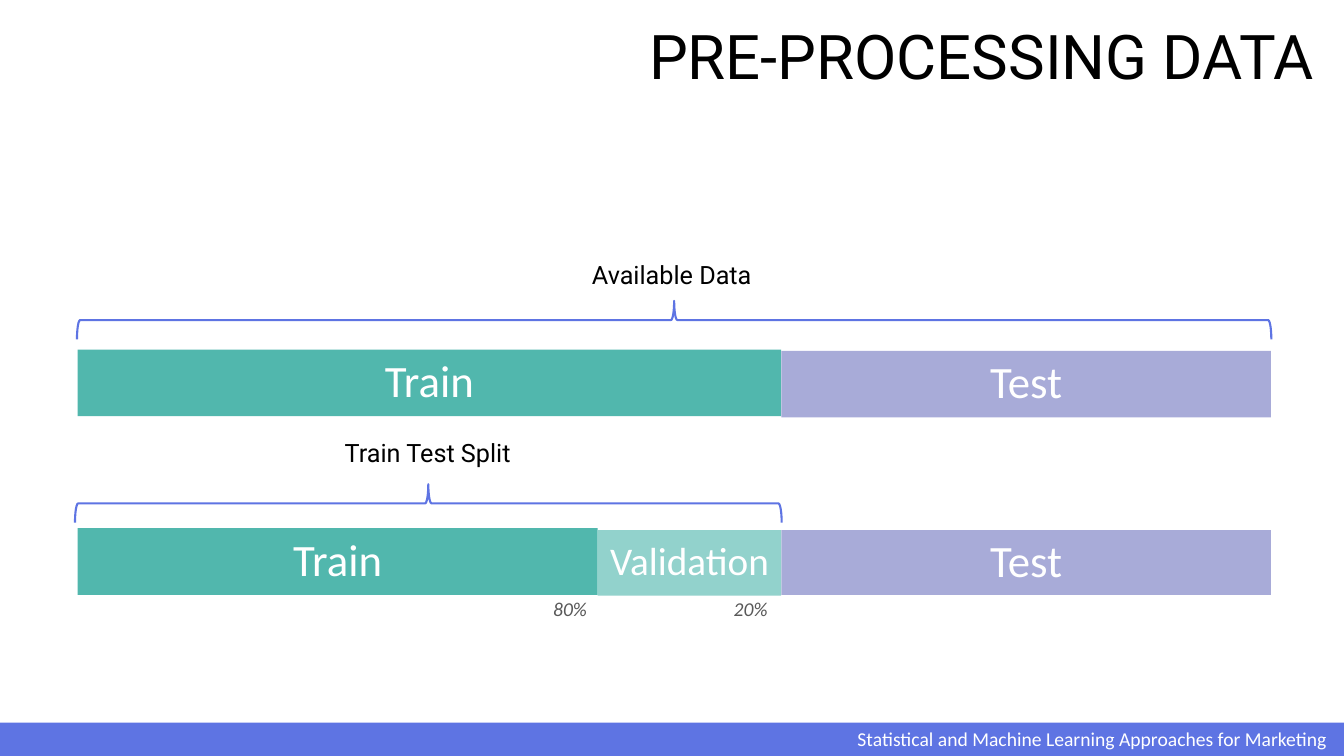
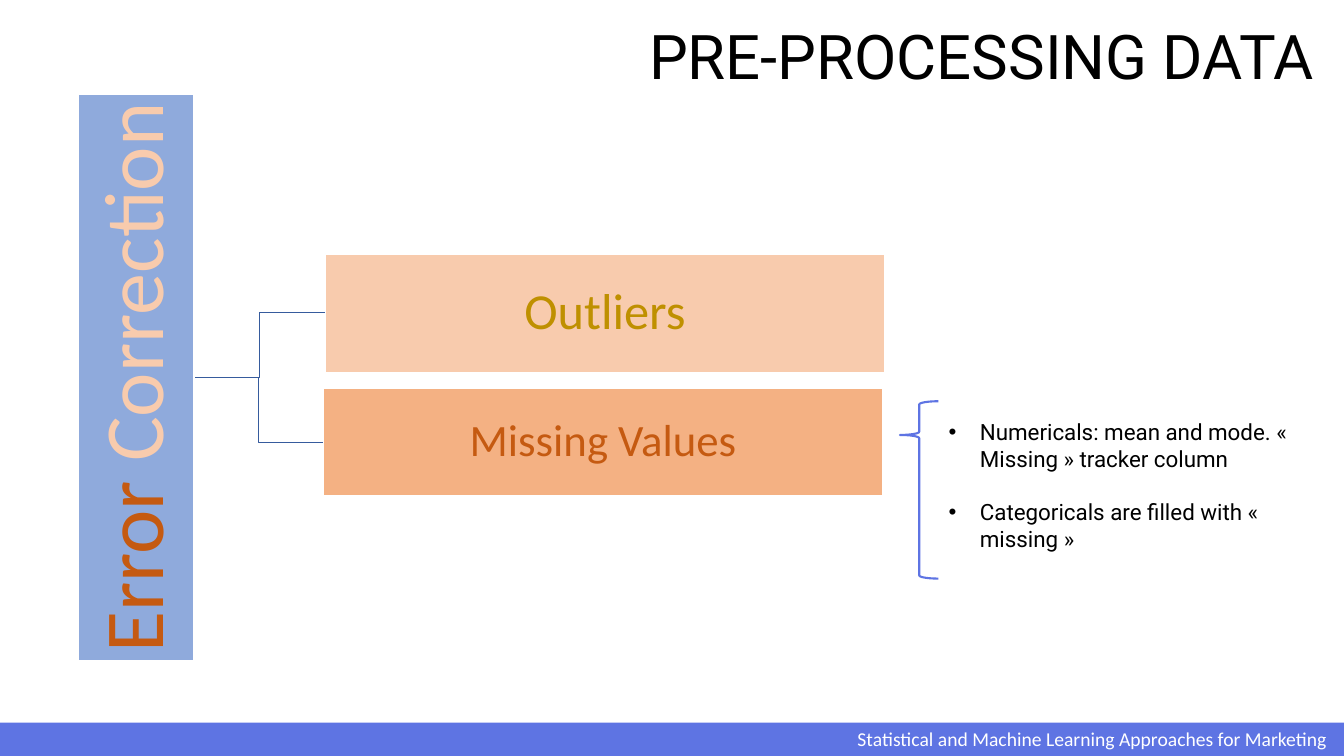
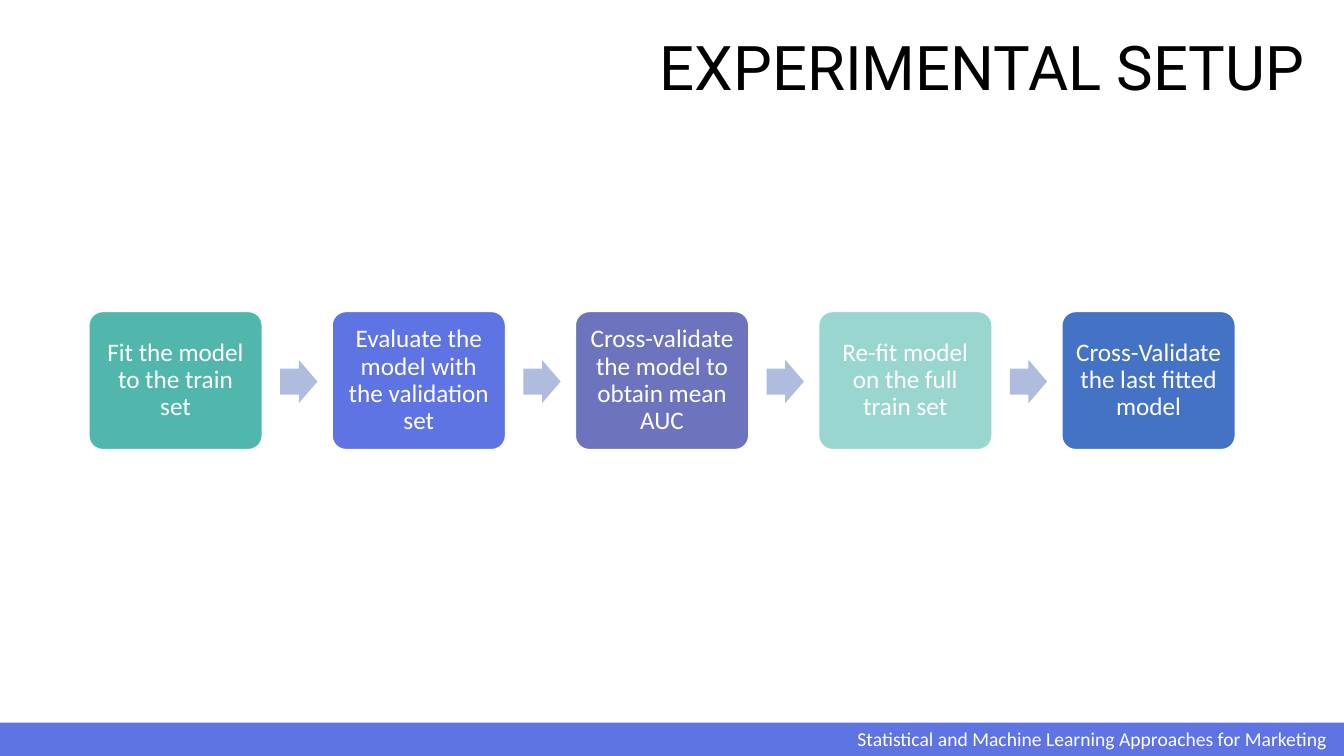
from pptx import Presentation
from pptx import util as u
from pptx.dml.color import RGBColor
from pptx.enum import shapes, text
from pptx.oxml import ns, xmlchemy

BLACK = RGBColor(0x00, 0x00, 0x00)
WHITE = RGBColor(0xFF, 0xFF, 0xFF)
GREY = RGBColor(0x59, 0x59, 0x59)
INDIGO = RGBColor(0x5E, 0x74, 0xE3)
TEAL = RGBColor(0x51, 0xB7, 0xAD)
LIGHT_TEAL = RGBColor(0x92, 0xD2, 0xCC)
PALE_TEAL = RGBColor(0x9A, 0xD6, 0xD0)
LILAC = RGBColor(0xA8, 0xAB, 0xD8)
VIOLET = RGBColor(0x6D, 0x73, 0xBD)
BLUE = RGBColor(0x44, 0x72, 0xC4)
SOFT_BLUE = RGBColor(0x8F, 0xAA, 0xDC)
ARROW_BLUE = RGBColor(0xB0, 0xBC, 0xDE)
LINE_BLUE = RGBColor(0x36, 0x5B, 0x9D)
PEACH = RGBColor(0xF8, 0xCB, 0xAD)
ORANGE = RGBColor(0xF4, 0xB1, 0x83)
RUST = RGBColor(0xC5, 0x5A, 0x11)
GOLD = RGBColor(0xBF, 0x90, 0x00)

HEADING_FONT = "Roboto"
BODY_FONT = "Calibri"
FOOTER = "Statistical and Machine Learning Approaches for Marketing"
SLIDE_WIDTH, SLIDE_HEIGHT = 33.87, 19.05
BRACE_DEPTH = 0.97

SHAPE = shapes.MSO_SHAPE
ALIGN = text.PP_ALIGN


def add_run(paragraph, words, size, color, font=BODY_FONT, italic=False):
    run = paragraph.add_run()
    run.text = words
    run.font.name = font
    run.font.size = u.Pt(size)
    run.font.color.rgb = color
    run.font.italic = italic


def place(shape, left, top, width, height):
    shape.left, shape.top = u.Cm(left), u.Cm(top)
    shape.width, shape.height = u.Cm(width), u.Cm(height)


def add_box(slide, kind, box, fill=None, line=None, line_width=1):
    shape = slide.shapes.add_shape(kind, *map(u.Cm, box))
    shape.shadow.inherit = False
    if fill is None:
        shape.fill.background()
    else:
        shape.fill.solid()
        shape.fill.fore_color.rgb = fill
    if line is None:
        shape.line.fill.background()
    else:
        shape.line.color.rgb = line
        shape.line.width = u.Pt(line_width)
    return shape


def fill_label(shape, runs, size, inset=0.05):
    frame = shape.text_frame
    frame.word_wrap = True
    frame.vertical_anchor = text.MSO_ANCHOR.MIDDLE
    frame.margin_left = frame.margin_right = u.Cm(inset)
    frame.margin_top = frame.margin_bottom = u.Cm(inset)
    paragraph = frame.paragraphs[0]
    paragraph.alignment = ALIGN.CENTER
    paragraph.line_spacing = 0.9
    for words, color in runs:
        add_run(paragraph, words, size, color)


def add_text(slide, box, words, size, color, font=BODY_FONT, italic=False,
             wrap=False, align=ALIGN.LEFT):
    frame = slide.shapes.add_textbox(*map(u.Cm, box)).text_frame
    frame.word_wrap = wrap
    paragraph = frame.paragraphs[0]
    paragraph.alignment = align
    add_run(paragraph, words, size, color, font, italic)


def turned(left, top, width, height):
    return (left + (width - height) / 2, top + (height - width) / 2, height, width)


def add_top_brace(slide, left, top, length):
    box = turned(left, top, length, BRACE_DEPTH)
    brace = add_box(slide, SHAPE.RIGHT_BRACE, box, line=INDIGO, line_width=1.5)
    brace.rotation = 270


def add_caption(slide, left, top, words):
    add_text(slide, (left, top, 6.58, 1.22), words, 18, BLACK, HEADING_FONT,
             wrap=True, align=ALIGN.CENTER)


def add_elbow(slide, start, end):
    connector = slide.shapes.add_connector(
        shapes.MSO_CONNECTOR.ELBOW, *map(u.Cm, start + end))
    connector.line.color.rgb = LINE_BLUE
    connector.line.width = u.Pt(1)
    properties = connector._element.spPr
    properties.append(xmlchemy.OxmlElement("a:effectLst"))


def add_bullets(placeholder, box, items):
    place(placeholder, *box)
    frame = placeholder.text_frame
    frame.auto_size = text.MSO_AUTO_SIZE.NONE
    for index, words in enumerate(items):
        paragraph = frame.add_paragraph() if index else frame.paragraphs[0]
        paragraph.space_before = u.Pt(19 if index else 0)
        properties = paragraph._p.get_or_add_pPr()
        properties.set("marL", str(u.Cm(0.79)))
        properties.set("indent", str(-u.Cm(0.79)))
        bullet = xmlchemy.OxmlElement("a:buChar")
        bullet.set("char", "•")
        properties.append(bullet)
        add_run(paragraph, words, 16, BLACK, HEADING_FONT)


def start_slide(presentation, layout_name, title, left=7.98, top=0.23):
    layout = presentation.slide_layouts.get_by_name(layout_name)
    slide = presentation.slides.add_slide(layout)
    heading = slide.shapes.title
    place(heading, left, top, 25.4, 2.54)
    frame = heading.text_frame
    frame.auto_size = text.MSO_AUTO_SIZE.NONE
    frame.vertical_anchor = text.MSO_ANCHOR.MIDDLE
    paragraph = frame.paragraphs[0]
    paragraph.alignment = ALIGN.RIGHT
    paragraph.line_spacing = 0.9
    add_run(paragraph, title, 44, BLACK, HEADING_FONT)
    add_box(slide, SHAPE.RECTANGLE, (0, 18.21, SLIDE_WIDTH, 0.84), INDIGO)
    add_text(slide, (21.36, 18.19, 12.47, 0.86), FOOTER, 14, WHITE)
    return slide


def build_data_split(presentation):
    slide = start_slide(presentation, "Title Only", "PRE-PROCESSING DATA")
    left, validation_left, test_left, right = 1.96, 15.06, 19.69, 32.03
    segments = [
        ("Train", left, test_left, 8.81, 1.68, TEAL, 32),
        ("Test", test_left, right, 8.84, 1.68, LILAC, 32),
        ("Train", left, validation_left, 13.31, 1.68, TEAL, 32),
        ("Test", test_left, right, 13.36, 1.63, LILAC, 32),
        ("Validation", validation_left, test_left, 13.36, 1.65, LIGHT_TEAL, 28),
    ]
    for words, start, end, top, height, fill, size in segments:
        bar = add_box(slide, SHAPE.RECTANGLE, (start, top, end - start, height), fill)
        fill_label(bar, [(words, WHITE)], size)
    for share, share_left in (("80%", 13.69), ("20%", 18.24)):
        add_text(slide, (share_left, 14.91, 1.37, 0.86), share, 14, GREY, italic=True)
    add_top_brace(slide, 1.94, 7.58, 30.1)
    add_caption(slide, 13.64, 6.4, "Available Data")
    add_top_brace(slide, 1.89, 12.2, 17.81)
    add_caption(slide, 7.49, 10.9, "Train Test Split")


def build_error_correction(presentation):
    slide = start_slide(presentation, "Title and Content", "PRE-PROCESSING DATA")
    trunk = (4.88, 9.52)
    add_elbow(slide, trunk, (8.15, 11.15))
    add_elbow(slide, trunk, (8.2, 7.87))
    root = add_box(slide, SHAPE.RECTANGLE, turned(1.97, 2.38, 2.92, 14.27),
                   SOFT_BLUE, WHITE)
    root.rotation = 270
    fill_label(root, [("Error ", RUST), ("Correction", PEACH)], 60, 0.1)
    branches = [
        ("Outliers", (8.2, 6.4, 14.1, 3), PEACH, GOLD, 36),
        ("Missing Values", (8.15, 9.78, 14.1, 2.72), ORANGE, RUST, 32),
    ]
    for words, box, fill, color, size in branches:
        branch = add_box(slide, SHAPE.RECTANGLE, box, fill, WHITE)
        fill_label(branch, [(words, color)], size)
    brace = add_box(slide, SHAPE.RIGHT_BRACE, (22.68, 10.11, BRACE_DEPTH, 4.47),
                    line=INDIGO, line_width=1.5)
    brace.rotation = 180
    brace.adjustments[1] = 0.81
    add_bullets(slide.placeholders[1], (23.65, 10.41, 9.73, 3.68), [
        "Numericals: mean and mode. « Missing » tracker column",
        "Categoricals are filled with « missing »",
    ])


def build_experimental_setup(presentation):
    slide = start_slide(presentation, "Title Only", "EXPERIMENTAL SETUP", 7.75, 0.51)
    steps = [
        ("Fit the model to the train set", TEAL),
        ("Evaluate the model with the validation set", INDIGO),
        ("Cross-validate the model to obtain mean AUC", VIOLET),
        ("Re-fit model on the full train set", PALE_TEAL),
        ("Cross-Validate the last fitted model", BLUE),
    ]
    first_left, pitch = 2.24, 6.13
    for index, (words, fill) in enumerate(steps):
        left = first_left + index * pitch
        step = add_box(slide, SHAPE.ROUNDED_RECTANGLE, (left, 7.85, 4.37, 3.48),
                       fill, WHITE)
        step.adjustments[0] = 0.1
        fill_label(step, [(words, WHITE)], 18, 0.23)
        if index < len(steps) - 1:
            arrow = add_box(slide, SHAPE.RIGHT_ARROW, (left + 4.82, 9.07, 0.94, 1.09),
                            ARROW_BLUE)
            arrow.adjustments[0] = 0.6


def main():
    presentation = Presentation()
    presentation.slide_width = u.Cm(SLIDE_WIDTH)
    presentation.slide_height = u.Cm(SLIDE_HEIGHT)
    build_data_split(presentation)
    build_error_correction(presentation)
    build_experimental_setup(presentation)
    presentation.save("out.pptx")


if __name__ == "__main__":
    main()
